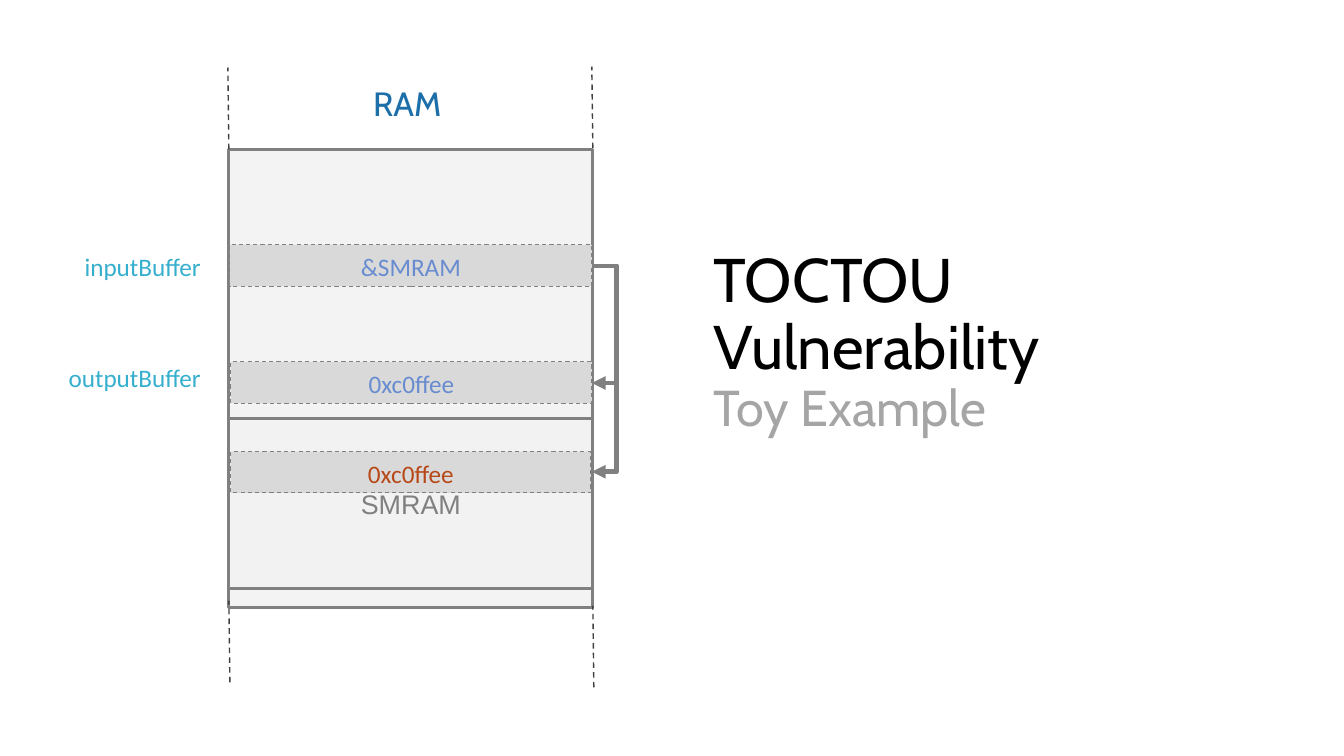
from pptx import Presentation
from pptx.dml.color import RGBColor
from pptx.enum.dml import MSO_LINE
from pptx.enum.shapes import MSO_CONNECTOR, MSO_SHAPE
from pptx.enum.text import MSO_ANCHOR, PP_ALIGN
from pptx.oxml.ns import qn
from pptx.util import Pt
from lxml import etree

PX = 9144
RECT = MSO_SHAPE.RECTANGLE
STRAIGHT, ELBOW = MSO_CONNECTOR.STRAIGHT, MSO_CONNECTOR.ELBOW
DASH = MSO_LINE.DASH
LEFT, CENTER, RIGHT = PP_ALIGN.LEFT, PP_ALIGN.CENTER, PP_ALIGN.RIGHT
TOP, MIDDLE = MSO_ANCHOR.TOP, MSO_ANCHOR.MIDDLE
GRAY = "808080"


def px(*values):
    return [v * PX for v in values]


def rgb(color):
    return RGBColor.from_string(color)


def style_run(r, font, size, color):
    r.font.name = font
    r.font.size = Pt(size)
    r.font.color.rgb = rgb(color)


def write(tf, text, styles, align=CENTER, anchor=MIDDLE, spacing=1.0):
    tf.word_wrap = True
    tf.vertical_anchor = anchor
    tf.text = text
    p = tf.paragraphs[0]
    p.alignment = align
    p.line_spacing = spacing
    for r, style in zip(p.runs, styles):
        style_run(r, *style)
    return p


def add_text(s, box, text, styles, **layout):
    sp = s.shapes.add_textbox(*px(*box))
    return write(sp.text_frame, text, styles, **layout)


def set_line(line, color, width, dash=None):
    line.color.rgb = rgb(color)
    line.width = Pt(width)
    if dash is not None:
        line.dash_style = dash


def add_rect(s, box, fill, width, dash=None):
    sp = s.shapes.add_shape(RECT, *px(*box))
    sp.shadow.inherit = False
    sp.fill.solid()
    sp.fill.fore_color.rgb = rgb(fill)
    set_line(sp.line, GRAY, width, dash)
    return sp


def add_region(s, box):
    sp = add_rect(s, box, "F2F2F2", 2)
    color = sp.fill._xPr.find(qn("a:solidFill"))[0]
    etree.SubElement(color, qn("a:alpha"), val="88000")
    return sp


def add_buffer(s, box, text, color):
    sp = add_rect(s, box, "D9D9D9", 0.75, DASH)
    write(sp.text_frame, text, [("Calibri", 18, color)], spacing=1.07)


def add_line(s, kind, ends, color, width, dash=None):
    c = s.shapes.add_connector(kind, *px(*ends))
    set_line(c.line, color, width, dash)
    etree.SubElement(c._element.spPr, qn("a:effectLst"))
    return c


def add_copy_arrow(s, y1, y2):
    x1, x2, bend = 586, 587, 612
    c = add_line(s, ELBOW, (x1, y1, x2, y2), GRAY, 3.25)
    ratio = (bend - x1) * 100000 // (x2 - x1)
    guides = c._element.spPr.find(qn("a:prstGeom")).find(qn("a:avLst"))
    etree.SubElement(guides, qn("a:gd"), name="adj1", fmla=f"val {ratio}")
    etree.SubElement(c.line._get_or_add_ln(), qn("a:tailEnd"), type="triangle")


def main():
    prs = Presentation()
    prs.slide_width, prs.slide_height = px(1333, 750)
    s = prs.slides.add_slide(prs.slide_layouts[6])

    add_region(s, (227, 148, 361, 455))
    smram = add_region(s, (227, 415, 361, 169))
    write(smram.text_frame, "SMRAM", [("Arial", 19.2, GRAY)])

    add_text(s, (698, 40, 544, 601), "TOCTOU Vulnerability\vToy Example",
             [("Cabin", 44, "000000"), ("Cabin", 36, "A5A5A5")],
             align=LEFT, spacing=0.9)
    p = add_text(s, (305, 75, 198, 50), "RAM", [("Cabin", 24, "1D6FA9")],
                 anchor=TOP, spacing=1.07)
    p.space_after = Pt(8)

    for x, y in ((227, 148), (588, 147), (228, 677), (589, 682)):
        add_line(s, STRAIGHT, (x, y, x - 1, y - 81), "404040", 1, DASH)

    for y, name in ((244, "inputBuffer"), (355, "outputBuffer")):
        add_text(s, (0, y, 209, 40), name, [("Calibri", 18, "36AFCE")],
                 align=RIGHT, anchor=TOP)

    add_buffer(s, (229, 448, 357, 41), "0xc0ffee", "B74919")
    add_buffer(s, (229, 359, 358, 41), "0xc0ffee", "688CCF")
    for target in (380, 468):
        add_copy_arrow(s, 264, target)
    add_buffer(s, (228, 243, 359, 41), "&SMRAM", "688CCF")

    prs.save("out.pptx")


if __name__ == "__main__":
    main()
